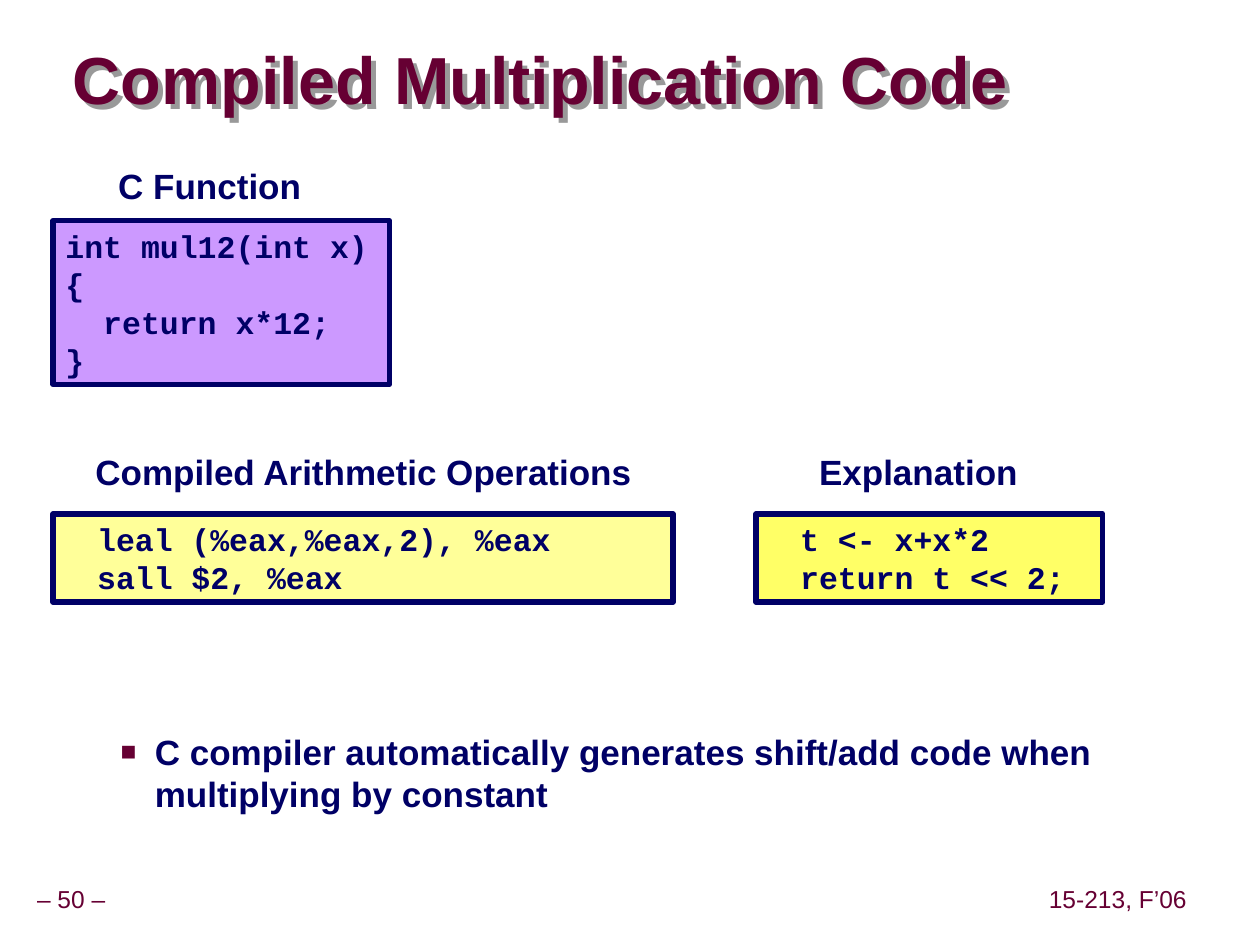
from lxml.etree import SubElement
from pptx import Presentation
from pptx.dml.color import RGBColor
from pptx.enum.shapes import MSO_SHAPE
from pptx.enum.text import MSO_ANCHOR, MSO_AUTO_SIZE, PP_ALIGN
from pptx.oxml.ns import qn
from pptx.util import Cm, Pt

HUES = {
    "wine": "660033", "navy": "000066", "shade": "999999",
    "violet": "CC99FF", "cream": "FFFF99", "lemon": "FFFF66",
}
SANS, MONO = "Arial", "Courier New"


def hue(name):
    return RGBColor.from_string(HUES[name])


def node(root, tag, **attrs):
    return SubElement(root, qn(tag), {k: str(v) for k, v in attrs.items()})


def add_run(para, text, size, color, face=SANS, bold=True):
    run = para.add_run()
    run.text = text
    font = run.font
    font.name, font.size, font.bold = face, Pt(size), bold
    font.color.rgb = hue(color)


def set_frame(frame, pad_x, pad_y, anchor=MSO_ANCHOR.TOP, wrap=True):
    frame.auto_size = MSO_AUTO_SIZE.NONE
    frame.word_wrap = wrap
    frame.vertical_anchor = anchor
    frame.margin_left = frame.margin_right = Cm(pad_x)
    frame.margin_top = frame.margin_bottom = Cm(pad_y)


def place(shape, box):
    shape.left, shape.top, shape.width, shape.height = map(Cm, box)


def add_title(slide, box, text):
    """Fill the title and give its text a hard drop shadow."""
    title = slide.shapes.title
    place(title, box)
    frame = title.text_frame
    set_frame(frame, 0, 0, MSO_ANCHOR.MIDDLE)
    para = frame.paragraphs[0]
    para.alignment, para.line_spacing = PP_ALIGN.LEFT, 0.87
    add_run(para, text, 38, "wine")
    effects = node(title.element.spPr, "a:effectLst")
    cast = node(effects, "a:outerShdw", dist=Cm(0.14), dir=45 * 60000,
                algn="ctr", rotWithShape=0)
    node(cast, "a:srgbClr", val=HUES["shade"])


def add_point(slide, box, text):
    """Fill the body with one square-bulleted item."""
    body = slide.placeholders[1]
    place(body, box)
    frame = body.text_frame
    set_frame(frame, 0.25, 0.13)
    para = frame.paragraphs[0]
    para.level, para.space_before = 1, Pt(0)
    props = para._p.get_or_add_pPr()
    props.set("marL", str(Cm(2.06)))
    props.set("indent", str(Cm(-0.69)))
    tint = node(props, "a:buClr")
    node(tint, "a:srgbClr", val=HUES["wine"])
    node(props, "a:buSzPct", val=75000)
    node(props, "a:buFont", typeface=SANS)
    node(props, "a:buChar", char="■")
    add_run(para, text, 20, "navy")


def add_label(slide, box, text, size=20, color="navy", bold=True):
    label = slide.shapes.add_textbox(*map(Cm, box))
    set_frame(label.text_frame, 0.13, 0.13, MSO_ANCHOR.MIDDLE, wrap=False)
    para = label.text_frame.paragraphs[0]
    para.alignment, para.line_spacing = PP_ALIGN.CENTER, 0.9
    add_run(para, text, size, color, bold=bold)


def add_code(slide, box, fill, lines):
    """Draw a framed listing with tab stops for operation and operands."""
    panel = slide.shapes.add_shape(MSO_SHAPE.RECTANGLE, *map(Cm, box))
    panel.shadow.inherit = False
    panel.fill.solid()
    panel.fill.fore_color.rgb = hue(fill)
    panel.line.color.rgb = hue("navy")
    panel.line.width = Pt(3)
    frame = panel.text_frame
    set_frame(frame, 0.25, 0.13)
    for i, line in enumerate(lines):
        para = frame.add_paragraph() if i else frame.paragraphs[0]
        para.alignment = PP_ALIGN.LEFT
        tabs = node(para._p.get_or_add_pPr(), "a:tabLst")
        for stop in (0.64, 2.54):
            node(tabs, "a:tab", pos=Cm(stop), algn="l")
        add_run(para, line, 18, "navy", MONO)


def add_block(slide, box, label, fill, lines):
    """Stack a centred label above its listing; label is (text, left, width)."""
    left, top, width, height = box
    text, shift, span = label
    add_label(slide, (left + shift, top, span, 1.02), text)
    drop = 1.02 + 0.15 if len(lines) > 2 else 1.32
    add_code(slide, (left, top + drop, width, height), fill, lines)


def add_foot(slide, top):
    for left, width, text in ((-0.23, 3.33, "– 50 –"),
                              (21.01, 3.05, "15-213, F’06")):
        add_label(slide, (left, top, width, 0.79), text, 14, "wine", False)


def main():
    deck = Presentation()
    deck.slide_width, deck.slide_height = Cm(25.4), Cm(19.05)
    slide = deck.slides.add_slide(deck.slide_layouts[1])
    add_title(slide, (1.47, 0.89, 19.91, 1.6), "Compiled Multiplication Code")
    add_block(slide, (1.07, 3.28, 6.78, 3.3), ("C Function", 1.19, 3.94),
              "violet",
              ["int mul12(int x)", "{", "  return x*12;", "}"])
    add_block(slide, (1.07, 9.04, 12.5, 1.78),
              ("Compiled Arithmetic Operations", 0.71, 11.1), "cream",
              ["\tleal\t(%eax,%eax,2), %eax", "\tsall\t$2, %eax"])
    add_block(slide, (15.24, 9.04, 6.99, 1.78), ("Explanation", 1.14, 4.27),
              "lemon", ["\tt <- x+x*2", "\treturn t << 2;"])
    add_point(slide, (0.81, 14.6, 23.09, 3.3),
              "C compiler automatically generates shift/add code when "
              "multiplying by constant")
    add_foot(slide, 17.77)
    deck.save("out.pptx")


if __name__ == "__main__":
    main()
